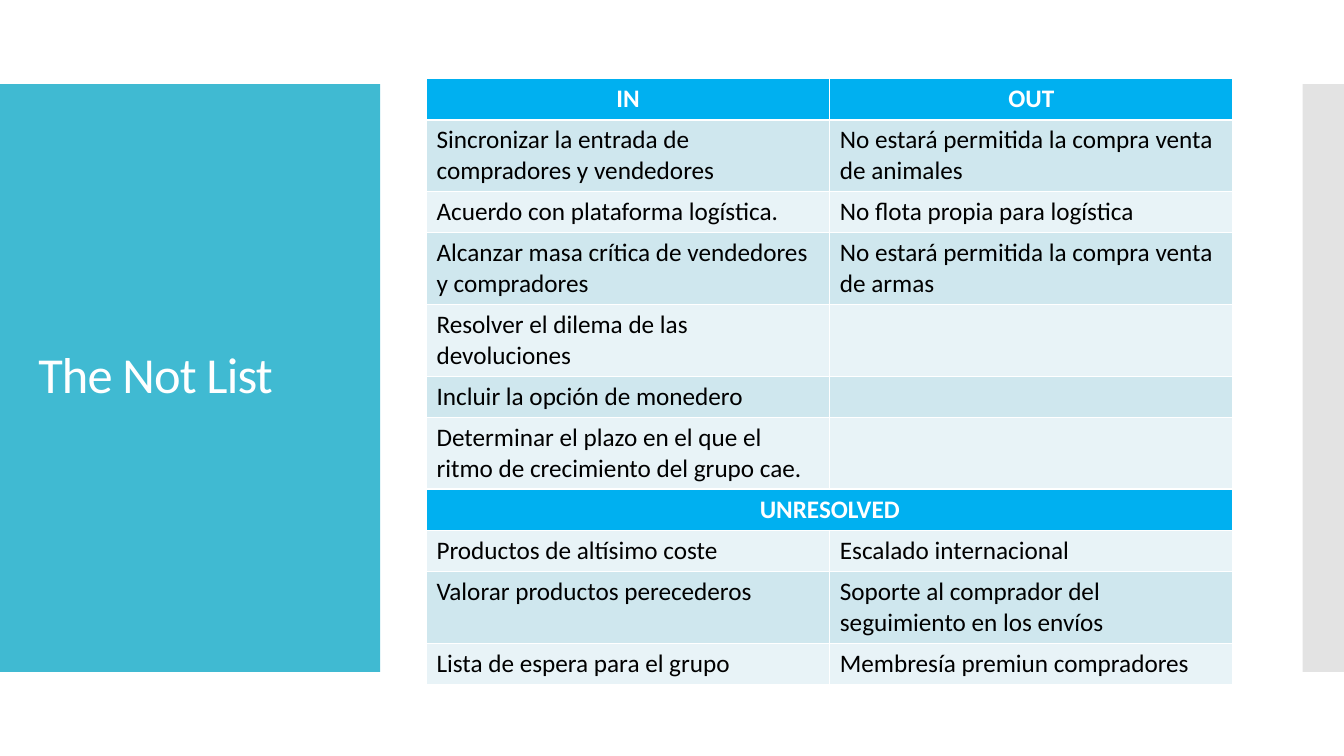
from dataclasses import dataclass

from lxml import etree
from pptx import Presentation
from pptx.dml.color import RGBColor
from pptx.enum.shapes import MSO_SHAPE
from pptx.enum.text import MSO_ANCHOR, PP_ALIGN
from pptx.oxml.ns import qn
from pptx.util import Inches, Pt

RECT = MSO_SHAPE.RECTANGLE
MIDDLE = MSO_ANCHOR.MIDDLE
LEFT, CENTER = PP_ALIGN.LEFT, PP_ALIGN.CENTER


@dataclass(frozen=True)
class Theme:
    font: str = "Calibri"
    title: int = 36
    body: int = 18
    white: RGBColor = RGBColor(0xFF, 0xFF, 0xFF)
    black: RGBColor = RGBColor(0, 0, 0)
    teal: RGBColor = RGBColor(0x40, 0xBA, 0xD2)
    gray: RGBColor = RGBColor(0xC8, 0xC8, 0xC8)
    head: RGBColor = RGBColor(0x00, 0xB0, 0xF0)
    bands: tuple = (RGBColor(0xE8, 0xF3, 0xF7), RGBColor(0xCF, 0xE7, 0xEE))


theme = Theme()

rows = [
    ("IN", "OUT"),
    ("Sincronizar la entrada de compradores y vendedores",
     "No estará permitida la compra venta de animales"),
    ("Acuerdo con plataforma logística.", "No flota propia para logística"),
    ("Alcanzar masa crítica de vendedores y compradores",
     "No estará permitida la compra venta de armas"),
    ("Resolver el dilema de las devoluciones", ""),
    ("Incluir la opción de monedero", ""),
    ("Determinar el plazo en el que el ritmo de crecimiento del grupo cae.", ""),
    ("UNRESOLVED", ""),
    ("Productos de altísimo coste", "Escalado internacional"),
    ("Valorar productos perecederos",
     "Soporte al comprador del seguimiento en los envíos"),
    ("Lista de espera para el grupo", "Membresía premiun compradores"),
]
heads = {0, 7}


def style(para, size, color, bold=False):
    font = para.font
    font.name, font.size, font.bold = theme.font, Pt(size), bold
    font.color.rgb = color


def add_panel(slide, left, width, color):
    """Add a plain side panel, one ninth of the slide in from top and bottom."""
    panel = slide.shapes.add_shape(RECT, left, high // 9, width, high * 7 // 9)
    panel.shadow.inherit = False
    panel.fill.solid()
    panel.fill.fore_color.rgb = color
    panel.line.fill.background()
    return panel


deck = Presentation()
deck.slide_width, deck.slide_height = Inches(13.33), Inches(7.5)
wide, high = deck.slide_width, deck.slide_height
slide = deck.slides.add_slide(deck.slide_layouts[5])

# Side panels
add_panel(slide, 0, Inches(3.77), theme.teal)
edge = Inches(12.92)
strip = add_panel(slide, edge, wide - edge, theme.gray)
tint = strip.fill._xPr.find(".//" + qn("a:srgbClr"))
etree.SubElement(tint, qn("a:alpha")).set("val", "50000")

# Title, raised above the panels
title = slide.shapes.title
slide.shapes._spTree.append(title._element)
title.left, title.top = Inches(0.28), Inches(1.23)
title.width, title.height = Inches(3.22), Inches(5.03)
frame = title.text_frame
frame.text = "The Not List"
frame.word_wrap = True
frame.vertical_anchor = MIDDLE
para = frame.paragraphs[0]
para.alignment = LEFT
para.line_spacing = 0.9
style(para, theme.title, theme.white)
para._p.pPr.find(qn("a:defRPr")).set("spc", "-60")

# Table
row_high = Inches(0.41)
grid = slide.shapes.add_table(
    len(rows), 2, Inches(4.23), Inches(0.78), Inches(8), row_high * len(rows)
).table
for r, texts in enumerate(rows):
    grid.rows[r].height = row_high
    is_head = r in heads
    for c, text in enumerate(texts):
        cell = grid.cell(r, c)
        cell.text = text
        cell.fill.solid()
        cell.fill.fore_color.rgb = theme.head if is_head else theme.bands[r % 2]
        para = cell.text_frame.paragraphs[0]
        para.alignment = CENTER if is_head else LEFT
        style(para, theme.body, theme.white if is_head else theme.black, is_head)
grid.cell(7, 0).merge(grid.cell(7, 1))

deck.save("out.pptx")
